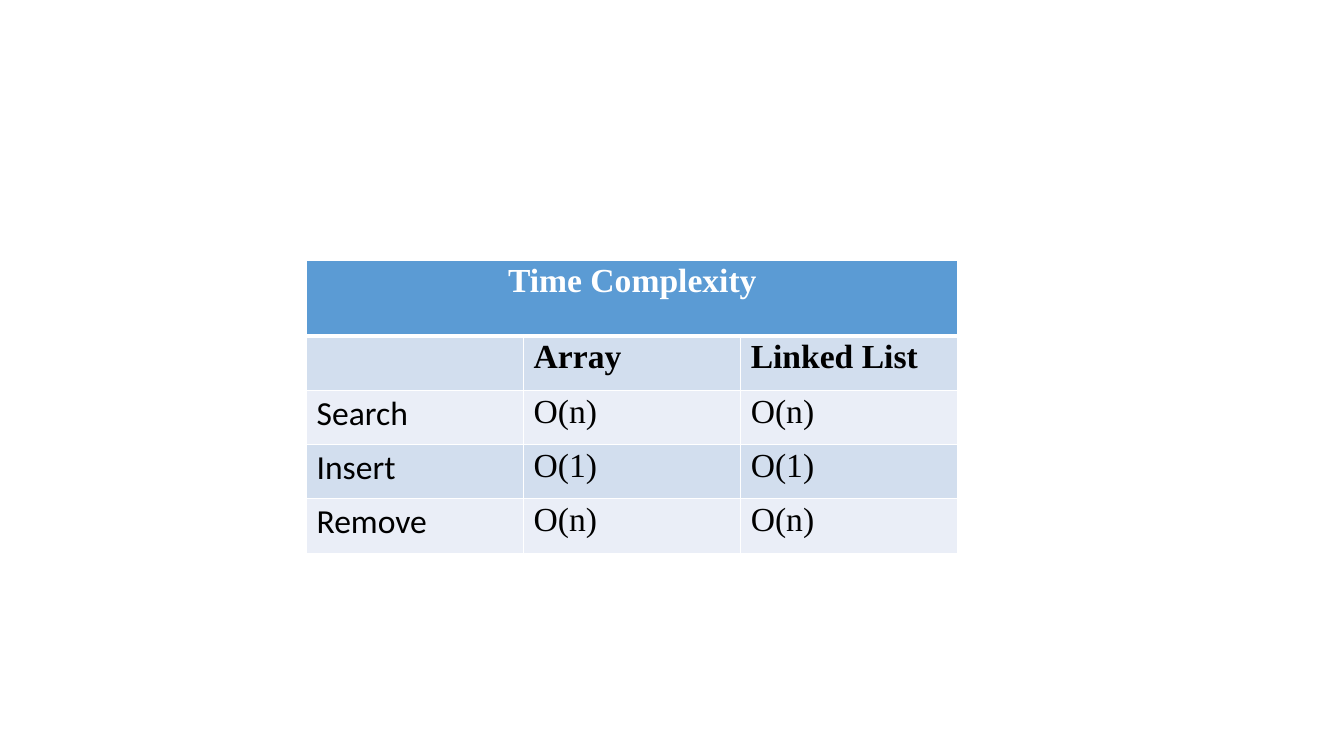
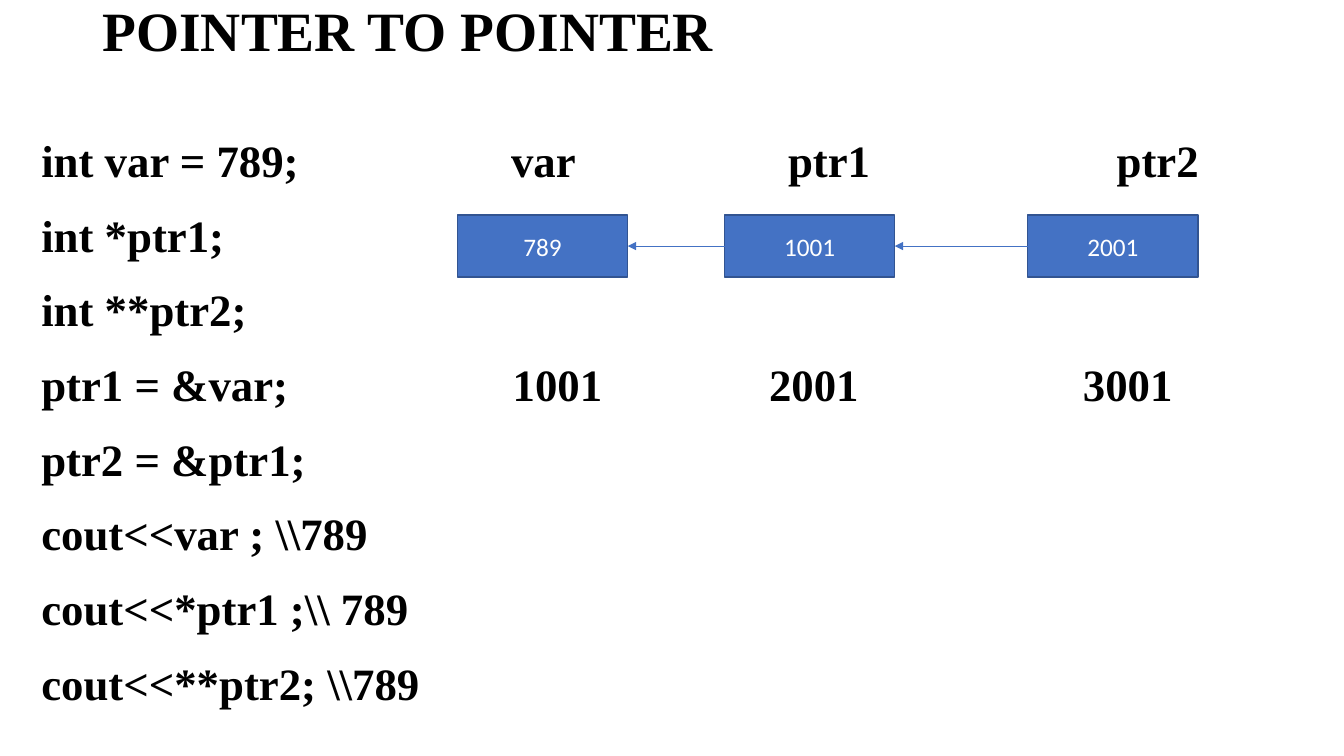
from pptx import Presentation
from pptx.dml.color import RGBColor
from pptx.enum.shapes import MSO_CONNECTOR, MSO_SHAPE
from pptx.enum.text import MSO_ANCHOR, MSO_AUTO_SIZE, PP_ALIGN
from pptx.oxml.ns import qn
from pptx.util import Cm, Pt
from lxml import etree

WHITE = RGBColor(0xFF, 0xFF, 0xFF)
BLACK = RGBColor(0x00, 0x00, 0x00)
HEADER_BLUE = RGBColor(0x5B, 0x9B, 0xD4)
BAND_DARK = RGBColor(0xD2, 0xDE, 0xEE)
BAND_LIGHT = RGBColor(0xEA, 0xEE, 0xF7)
BOX_BLUE = RGBColor(0x44, 0x72, 0xC4)
BOX_EDGE = RGBColor(0x32, 0x54, 0x91)

LEFT, CENTER = PP_ALIGN.LEFT, PP_ALIGN.CENTER
TOP, MIDDLE = MSO_ANCHOR.TOP, MSO_ANCHOR.MIDDLE
RECTANGLE = MSO_SHAPE.RECTANGLE
STRAIGHT = MSO_CONNECTOR.STRAIGHT
NO_AUTOFIT = MSO_AUTO_SIZE.NONE
LEFT_SIDE, RIGHT_SIDE = 1, 3

SERIF, SANS = "Times New Roman", "Calibri"
NO_MARGINS = {"margin_left": 0, "margin_top": 0, "margin_right": 0, "margin_bottom": 0}
PLAIN_TABLE = {"first_row": False, "horz_banding": False}
TITLE_FONT = {"name": SERIF, "size": Pt(39.6), "bold": True}
CODE_FONT = {"name": SERIF, "size": Pt(32), "bold": True}
BOX_FONT = {"name": SANS, "size": Pt(18), "bold": False}


def apply(target, values):
    for name, value in values.items():
        setattr(target, name, value)


def write(para, text, font, color, **layout):
    apply(para, layout)
    span = para.add_run()
    span.text = text
    apply(span.font, font)
    span.font.color.rgb = color


deck = Presentation()
deck.slide_width, deck.slide_height = Cm(33.87), Cm(19.05)

page = deck.slides.add_slide(deck.slide_layouts[6])
rows = [
    ("Time Complexity", "", ""),
    ("", "Array", "Linked List"),
    ("Search", "O(n)", "O(n)"),
    ("Insert", "O(1)", "O(1)"),
    ("Remove", "O(n)", "O(n)"),
]
HEADER_HEIGHT, ROW_HEIGHT, COLUMN_WIDTH = Cm(1.9), Cm(1.37), Cm(5.47)
table = page.shapes.add_table(
    len(rows), 3, Cm(7.73), Cm(6.56), 3 * COLUMN_WIDTH, HEADER_HEIGHT + 4 * ROW_HEIGHT
).table
apply(table, PLAIN_TABLE)
for column in table.columns:
    column.width = COLUMN_WIDTH
for index, texts in enumerate(rows):
    table.rows[index].height = ROW_HEIGHT if index else HEADER_HEIGHT
    band = BAND_DARK if index % 2 else BAND_LIGHT
    for position, text in enumerate(texts):
        cell = table.cell(index, position)
        apply(cell, NO_MARGINS)
        cell.margin_top = Cm(0.08 if index else 0.05)
        if index:
            cell.margin_left = Cm(0.25)
        thick_sides = {0: "lnB", 1: "lnT"}
        for side in ("lnL", "lnR", "lnT", "lnB"):
            width = Pt(3) if thick_sides.get(index) == side else Pt(1)
            border = etree.SubElement(cell._tc.get_or_add_tcPr(), qn("a:" + side), w=str(width))
            paint = etree.SubElement(border, qn("a:solidFill"))
            etree.SubElement(paint, qn("a:srgbClr"), val=str(WHITE))
        cell.fill.solid()
        cell.fill.fore_color.rgb = band if index else HEADER_BLUE
        if text:
            font = {
                "name": SANS if index and position == 0 else SERIF,
                "size": Pt(24),
                "bold": index < 2,
            }
            write(
                cell.text_frame.paragraphs[0], text, font, BLACK if index else WHITE,
                alignment=LEFT if index else CENTER, space_before=Pt(2.4 if index else 1.8),
            )
table.cell(0, 0).merge(table.cell(0, 2))

page = deck.slides.add_slide(deck.slide_layouts[5])
title = page.shapes.title
apply(title, {"left": Cm(2.33), "top": 0, "width": Cm(29.21), "height": Cm(1.68)})
apply(title.text_frame, {"vertical_anchor": MIDDLE, "auto_size": NO_AUTOFIT})
write(
    title.text_frame.paragraphs[0], "POINTER TO POINTER", TITLE_FONT, BLACK,
    alignment=LEFT, line_spacing=0.9,
)

code_table = page.shapes.add_table(1, 1, Cm(0.86), Cm(2.01), Cm(32.66), Cm(20.47)).table
apply(code_table, PLAIN_TABLE)
code_cell = code_table.cell(0, 0)
code_cell.fill.background()
apply(code_cell, {
    "margin_left": Cm(0.18), "margin_right": Cm(0.18),
    "margin_top": Cm(0.83), "margin_bottom": Cm(0.08), "vertical_anchor": TOP,
})
code_lines = [
    (("int var = 789;", "var", "ptr1", "ptr2"), (11.84, 18.82, 27.1)),
    (("int *ptr1;",), ()),
    (("int **ptr2;",), ()),
    (("ptr1 = &var;", "1001", "2001", "3001"), (11.88, 18.34, 26.25)),
    (("ptr2 = &ptr1;",), ()),
    ((r"cout<<var ; \\789",), ()),
    ((r"cout<<*ptr1 ;\\ 789",), ()),
    ((r"cout<<**ptr2; \\789",), ()),
]
frame = code_cell.text_frame
for index, (parts, stops) in enumerate(code_lines):
    para = frame.add_paragraph() if index else frame.paragraphs[0]
    write(para, "\t".join(parts), CODE_FONT, BLACK, alignment=LEFT, line_spacing=1.5)
    if stops:
        tabs = etree.SubElement(para._p.get_or_add_pPr(), qn("a:tabLst"))
        for stop in stops:
            etree.SubElement(tabs, qn("a:tab"), pos=str(Cm(stop)), algn="l")

boxes = []
for value, left in (("789", 11.53), ("1001", 18.26), ("2001", 25.9)):
    box = page.shapes.add_shape(RECTANGLE, Cm(left), Cm(5.42), Cm(4.29), Cm(1.56))
    box.shadow.inherit = False
    box.fill.solid()
    box.fill.fore_color.rgb = BOX_BLUE
    box.line.color.rgb = BOX_EDGE
    box.line.width = Pt(1)
    box.text_frame.vertical_anchor = MIDDLE
    write(box.text_frame.paragraphs[0], value, BOX_FONT, WHITE, alignment=CENTER)
    boxes.append(box)

for target, pointer in zip(boxes, boxes[1:]):
    arrow = page.shapes.add_connector(STRAIGHT, 0, 0, 0, 0)
    arrow.begin_connect(pointer, LEFT_SIDE)
    arrow.end_connect(target, RIGHT_SIDE)
    arrow.line.color.rgb = BOX_BLUE
    arrow.line.width = Pt(0.5)
    etree.SubElement(arrow.line._get_or_add_ln(), qn("a:tailEnd"), type="triangle")
    etree.SubElement(arrow._element.spPr, qn("a:effectLst"))

deck.save("out.pptx")
